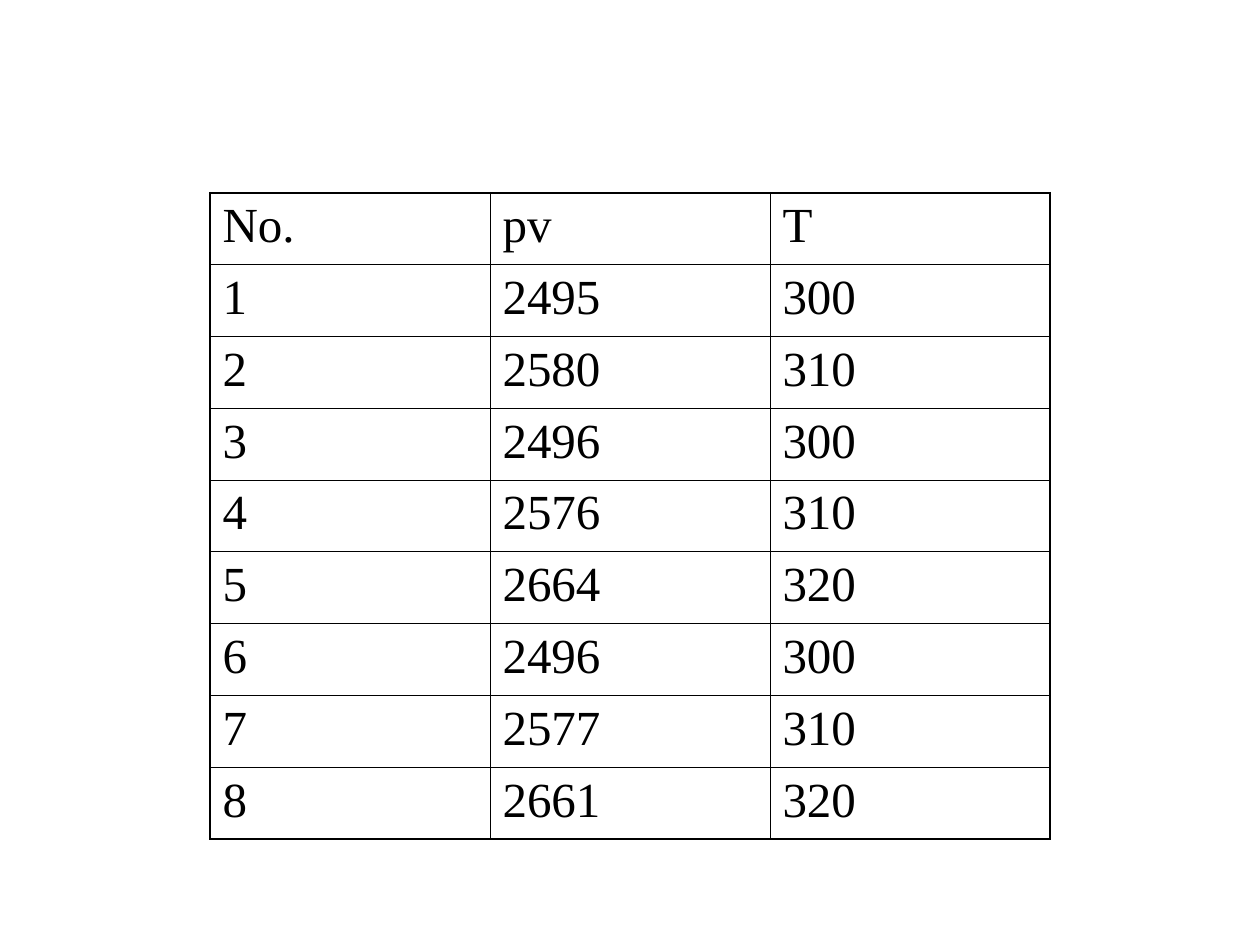
from lxml.etree import SubElement
from pptx import Presentation
from pptx.dml.color import RGBColor
from pptx.oxml.ns import qn
from pptx.util import Inches, Pt

# Content
HEADINGS = ("No.", "pv", "T")
MEASUREMENTS = [
    (2495, 300),
    (2580, 310),
    (2496, 300),
    (2576, 310),
    (2664, 320),
    (2496, 300),
    (2577, 310),
    (2661, 320),
]
ROWS = [HEADINGS] + [(no, *pair) for no, pair in enumerate(MEASUREMENTS, 1)]

# Format
SLIDE_WIDTH, SLIDE_HEIGHT = 10, 7.5
GRID_WIDTH = SLIDE_WIDTH * 2 / 3
GRID_TOP = 1.53
ROW_HEIGHT = 0.57
INK = "000000"
OUTER_LINE, INNER_LINE = 1.08, 0.45
FONT = {"name": "Times New Roman", "size": Pt(28), "bold": False}


def colour(code):
    return RGBColor.from_string(code)


def draw_border(cell, side, width):
    line = SubElement(cell._tc.get_or_add_tcPr(), qn(f"a:ln{side}"), w=str(Pt(width)))
    fill = SubElement(line, qn("a:solidFill"))
    SubElement(fill, qn("a:srgbClr"), val=INK)


def fill_cell(cell, value, outer_sides):
    # Borders come before the fill in the cell properties
    for side in "LRTB":
        draw_border(cell, side, OUTER_LINE if side in outer_sides else INNER_LINE)
    cell.fill.background()
    paragraph = cell.text_frame.paragraphs[0]
    paragraph.space_before = Pt(7)
    run = paragraph.add_run()
    run.text = str(value)
    for attribute, setting in FONT.items():
        setattr(run.font, attribute, setting)
    run.font.color.rgb = colour(INK)


def main():
    deck = Presentation()
    deck.slide_width, deck.slide_height = Inches(SLIDE_WIDTH), Inches(SLIDE_HEIGHT)
    slide = deck.slides.add_slide(deck.slide_layouts[6])

    # Table, centred across the slide
    row_count, column_count = len(ROWS), len(HEADINGS)
    readings = slide.shapes.add_table(
        row_count, column_count,
        Inches((SLIDE_WIDTH - GRID_WIDTH) / 2), Inches(GRID_TOP),
        Inches(GRID_WIDTH), Inches(ROW_HEIGHT * row_count),
    ).table
    readings.first_row = readings.horz_banding = False

    # Cells, with a heavier line around the whole grid
    for r, row in enumerate(ROWS):
        for c, value in enumerate(row):
            edges = {"L": c == 0, "R": c == column_count - 1,
                     "T": r == 0, "B": r == row_count - 1}
            outer_sides = [side for side, is_outer in edges.items() if is_outer]
            fill_cell(readings.cell(r, c), value, outer_sides)

    deck.save("out.pptx")


if __name__ == "__main__":
    main()
